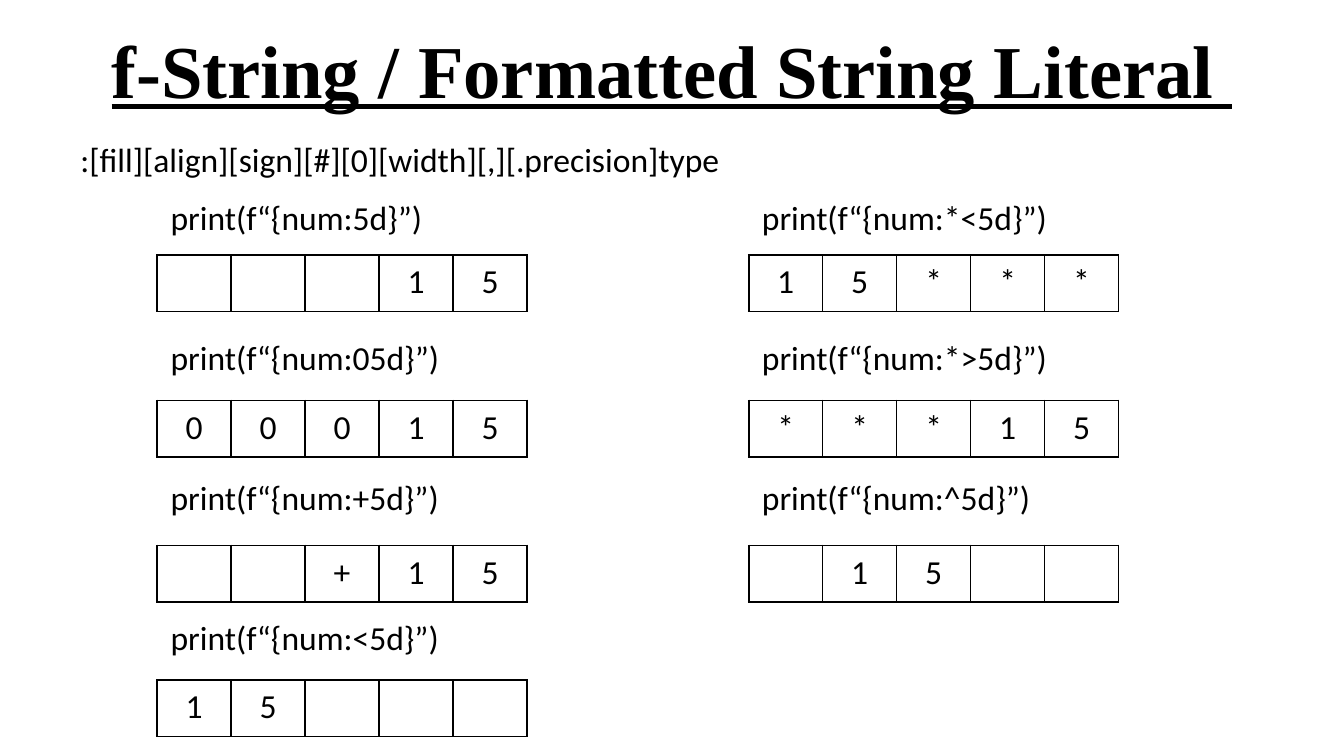
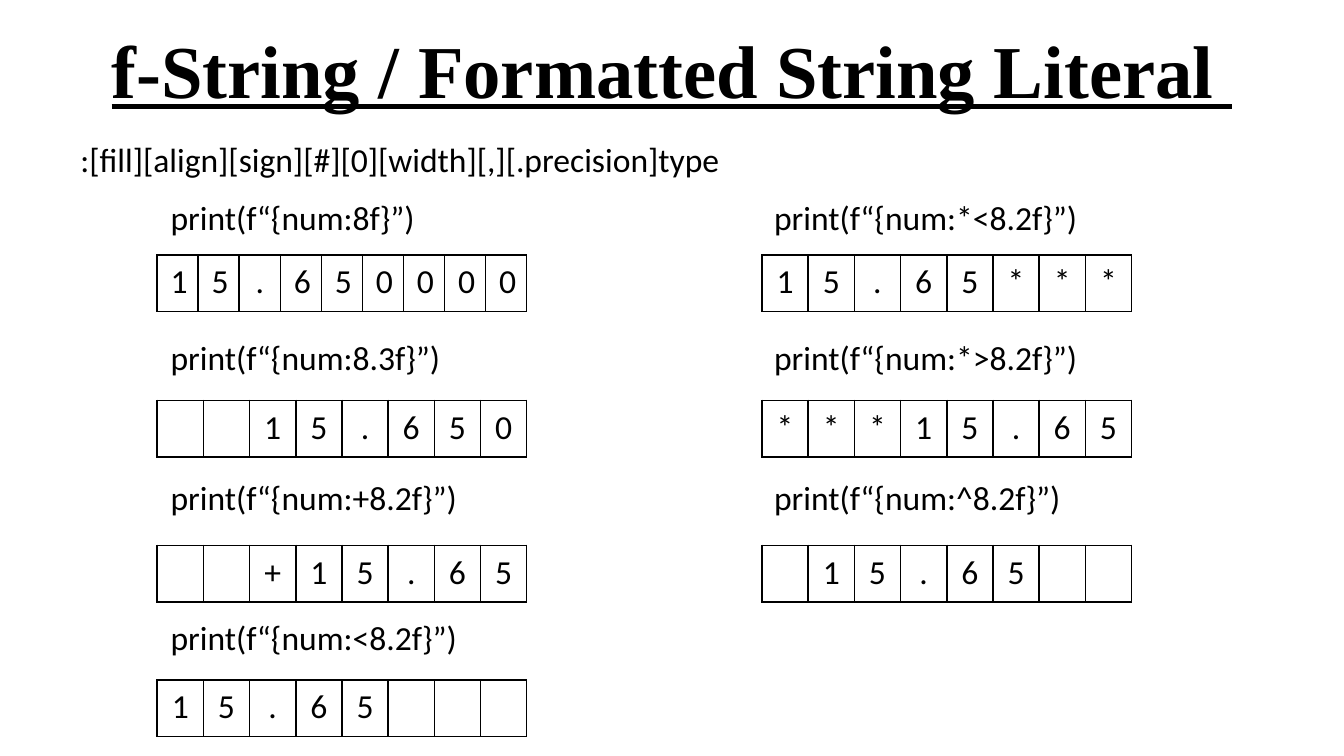
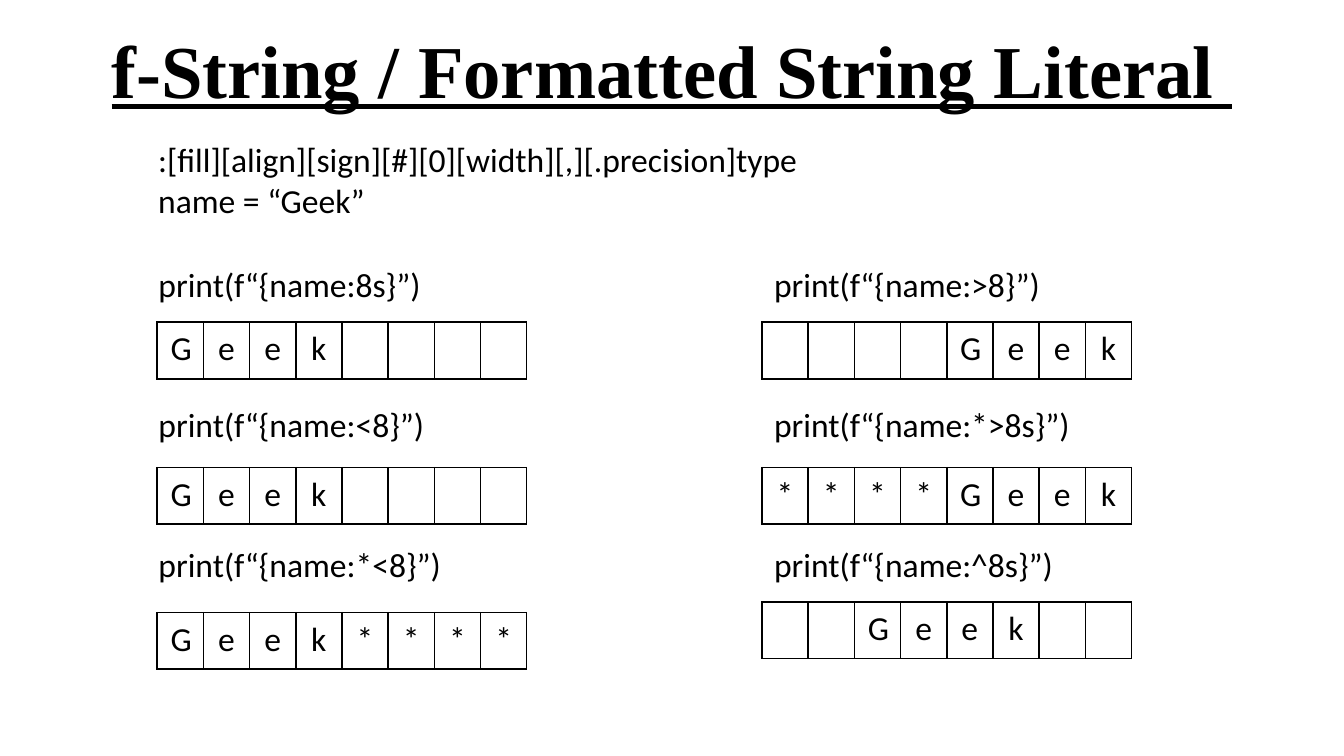
import pptx
import pptx.dml.color
import pptx.enum.text
import pptx.oxml
import pptx.util
from pptx.util import Cm

INK = "000000"
BODY_FONT = "Calibri"
TITLE_FONT = "Times New Roman"
TITLE = "f-String / Formatted String Literal "
SYNTAX = ":[fill][align][sign][#][0][width][,][.precision]type"
TITLE_BOX = (Cm(1.27), Cm(0.1), Cm(22.86), Cm(2.39))
STRIP_WIDTH, STRIP_HEIGHT = Cm(6.99), Cm(1.07)
STRIP_DROPS = (2.13, 4.88, 7.62, 10.16)
BLANK = "_"

SLIDES = [
    {
        "syntax": (1.27, [SYNTAX]),
        "columns": [
            ((2.97, 2.69, 9.73, 11.43), 2.97, STRIP_DROPS, [
                ("print(f“{num:5d}”)", "___15"),
                ("print(f“{num:05d}”)", "00015"),
                ("print(f“{num:+5d}”)", "__+15"),
                ("print(f“{num:<5d}”)", "15___"),
            ]),
            ((14.15, 2.69, 9.75, 11.43), 14.15, STRIP_DROPS, [
                ("print(f“{num:*<5d}”)", "15***"),
                ("print(f“{num:*>5d}”)", "***15"),
                ("print(f“{num:^5d}”)", "_15__"),
            ]),
        ],
    },
    {
        "syntax": (1.27, [SYNTAX]),
        "columns": [
            ((2.97, 2.69, 9.53, 11.43), 2.97, STRIP_DROPS, [
                ("print(f“{num:8f}”)", "15.650000"),
                ("print(f“{num:8.3f}”)", "__15.650"),
                ("print(f“{num:+8.2f}”)", "__+15.65"),
                ("print(f“{num:<8.2f}”)", "15.65___"),
            ]),
            ((14.38, 2.69, 10.62, 11.23), 14.4, STRIP_DROPS, [
                ("print(f“{num:*<8.2f}”)", "15.65***"),
                ("print(f“{num:*>8.2f}”)", "***15.65"),
                ("print(f“{num:^8.2f}”)", "_15.65__"),
            ]),
        ],
    },
    {
        "syntax": (2.74, [SYNTAX, "name = “Geek”"]),
        "columns": [
            ((2.74, 3.96, 9.09, 9.32), 2.97, STRIP_DROPS, [
                ("print(f“{name:8s}”)", "Geek____"),
                ("print(f“{name:<8}”)", "Geek____"),
                ("print(f“{name:*<8}”)", "Geek****"),
            ]),
            ((14.38, 3.96, 9.75, 9.32), 14.4, (2.13, 4.88, 7.42), [
                ("print(f“{name:>8}”)", "____Geek"),
                ("print(f“{name:*>8s}”)", "****Geek"),
                ("print(f“{name:^8s}”)", "__Geek__"),
            ]),
        ],
    },
]


def colour(value):
    return pptx.dml.color.RGBColor.from_string(value)


def style_runs(paragraph, name=BODY_FONT, size=18):
    for run in paragraph.runs:
        run.font.name = name
        run.font.size = pptx.util.Pt(size)
        run.font.color.rgb = colour(INK)


def place(shape, box):
    shape.left, shape.top, shape.width, shape.height = box


def add_title(slide):
    heading = slide.shapes.title
    place(heading, TITLE_BOX)
    frame = heading.text_frame
    frame.text = TITLE
    frame.auto_size = pptx.enum.text.MSO_AUTO_SIZE.NONE
    frame.vertical_anchor = pptx.enum.text.MSO_ANCHOR.MIDDLE
    paragraph = frame.paragraphs[0]
    paragraph.alignment = pptx.enum.text.PP_ALIGN.CENTER
    style_runs(paragraph, TITLE_FONT, 40)
    paragraph.runs[0].font.bold = True
    paragraph.runs[0].font.underline = True


def add_syntax(slide, left, lines):
    height = 0.23 + 0.78 * len(lines)
    syntax = slide.shapes.add_textbox(Cm(left), Cm(2.51), Cm(12.73), Cm(height))
    frame = syntax.text_frame
    frame.word_wrap = False
    frame.auto_size = pptx.enum.text.MSO_AUTO_SIZE.SHAPE_TO_FIT_TEXT
    frame.text = "\n".join(lines)
    for paragraph in frame.paragraphs:
        style_runs(paragraph)


def write_calls(frame, calls):
    frame.word_wrap = True
    frame.auto_size = pptx.enum.text.MSO_AUTO_SIZE.NONE
    frame.margin_top = Cm(1.03)
    frame.text = "\n".join(calls)
    for index, paragraph in enumerate(frame.paragraphs):
        paragraph.space_before = pptx.util.Pt(53.5 if index else 0)
        properties = paragraph._p.get_or_add_pPr()
        properties.set("marL", "0")
        properties.set("indent", "0")
        properties.append(pptx.oxml.parse_xml(
            '<a:buNone xmlns:a="http://schemas.openxmlformats.org/drawingml/2006/main"/>'))
        style_runs(paragraph)


def outline_cell(cell):
    properties = cell._tc.get_or_add_tcPr()
    for position, side in enumerate(("lnL", "lnR", "lnT", "lnB")):
        properties.insert(position, pptx.oxml.parse_xml(
            f'<a:{side} xmlns:a="http://schemas.openxmlformats.org/drawingml/2006/main" w="12700">'
            f'<a:solidFill><a:srgbClr val="{INK}"/></a:solidFill></a:{side}>'))


def add_strip(slide, left, top, output):
    strip = slide.shapes.add_table(
        1, len(output), left, top, STRIP_WIDTH, STRIP_HEIGHT).table
    strip.first_row = False
    strip.horz_banding = False
    for index, character in enumerate(output):
        strip.columns[index].width = STRIP_WIDTH // len(output)
        cell = strip.cell(0, index)
        cell.fill.background()
        outline_cell(cell)
        if character != BLANK:
            cell.text_frame.text = character
            paragraph = cell.text_frame.paragraphs[0]
            paragraph.alignment = pptx.enum.text.PP_ALIGN.CENTER
            style_runs(paragraph)


def add_examples(slide, calls_shape, box, strip_left, drops, examples):
    place(calls_shape, [Cm(length) for length in box])
    write_calls(calls_shape.text_frame, [call for call, output in examples])
    for drop, (call, output) in zip(drops, examples):
        add_strip(slide, Cm(strip_left), calls_shape.top + Cm(drop), output)


def add_format_slide(deck, content):
    slide = deck.slides.add_slide(deck.slide_layouts[1])
    add_title(slide)
    add_syntax(slide, *content["syntax"])
    left_column, right_column = content["columns"]
    add_examples(slide, slide.placeholders[1], *left_column)
    add_examples(slide, slide.shapes.add_textbox(0, 0, 0, 0), *right_column)


def main():
    deck = pptx.Presentation()
    deck.slide_width, deck.slide_height = Cm(25.4), Cm(14.29)
    for content in SLIDES:
        add_format_slide(deck, content)
    deck.save("out.pptx")


if __name__ == "__main__":
    main()
